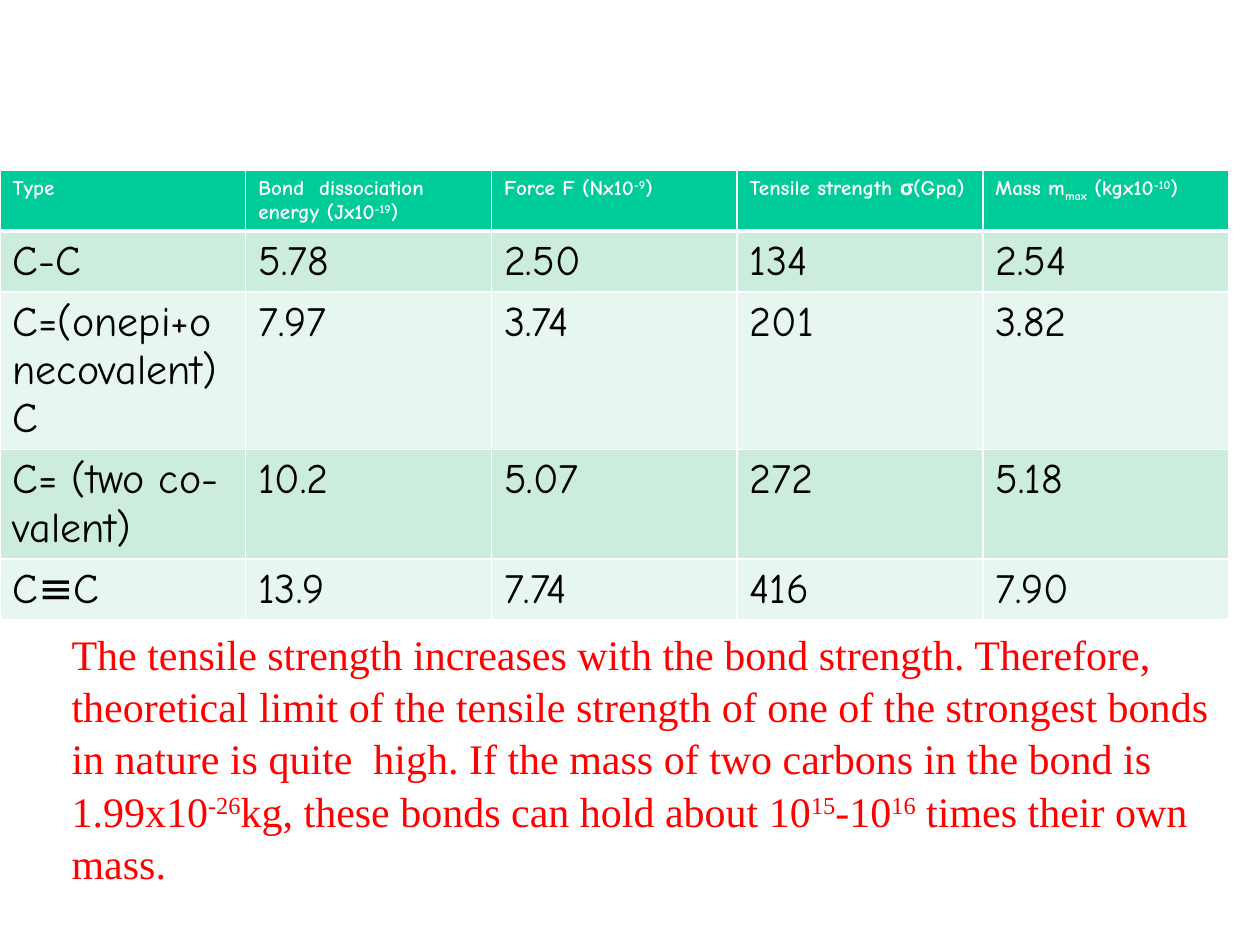
from pptx import Presentation
from pptx.dml.color import RGBColor
from pptx.enum.text import MSO_AUTO_SIZE
from pptx.oxml import parse_xml
from pptx.oxml.ns import nsdecls
from pptx.util import Inches, Pt

WHITE = RGBColor(0xFF, 0xFF, 0xFF)
BLACK = RGBColor(0, 0, 0)
RED = RGBColor(0xFF, 0, 0)
GREEN = RGBColor(0, 0xCC, 0x99)
MINT = RGBColor(0xCC, 0xEC, 0xDE)
PALE = RGBColor(0xE7, 0xF6, 0xEF)
FIT = MSO_AUTO_SIZE.SHAPE_TO_FIT_TEXT
BASE = {"^": "30000", "_": "-25000"}

# "|" parts the runs; a leading "^" raises a run, "_" lowers it
ROWS = [
    ["Type", "Bond  dissociation energy (Jx10|^-19|)", "Force F (Nx10|^-9|)",
     "Tensile strength σ(Gpa)", "Mass m|_max| (kgx10|^-10|)"],
    ["C-C", "5.78", "2.50", "134", "2.54"],
    ["C=(onepi+onecovalent) C", "7.97", "3.74", "201", "3.82"],
    ["C= (two co-valent)", "10.2", "5.07", "272", "5.18"],
    ["C≡C", "13.9", "7.74", "416", "7.90"],
]
NOTE = ("The tensile strength increases with the bond strength. Therefore, "
        "theoretical limit of the tensile strength of one of the strongest "
        "bonds in nature is quite  high. If the mass of two carbons in the "
        "bond is 1.99x10|^-26|kg, these bonds can hold about 10|^15|-10|^16"
        "| times their own mass.")


def write(par, text, face, size, color, bold=False):
    for part in text.split("|"):
        run = par.add_run()
        run.text = part.lstrip("^_")
        if part[0] in BASE:
            run.font._element.set("baseline", BASE[part[0]])
    font = par.font
    font.name, font.size, font.bold = face, Pt(size), bold
    font.color.rgb = color
    for run in par.runs:
        run.font.name = face


def edge(cell, low):
    props = cell._tc.get_or_add_tcPr()
    for i, side in enumerate("LRTB"):
        width = Pt(low if side == "B" else 1)
        props.insert(i, parse_xml(
            f'<a:ln{side} {nsdecls("a")} w="{width}"><a:solidFill>'
            f'<a:srgbClr val="{WHITE}"/></a:solidFill></a:ln{side}>'))


deck = Presentation()
deck.slide_width, deck.slide_height = Inches(10), Inches(7.5)
slide = deck.slides.add_slide(deck.slide_layouts[6])

# Table of bond values
COL, ROW = Inches(1.95), Inches(0.41)
count = len(ROWS[0])
table = slide.shapes.add_table(len(ROWS), count, 0, Inches(1.35),
                               COL * count, ROW * len(ROWS)).table
for r, row in enumerate(ROWS):
    head = r == 0
    for c, text in enumerate(row):
        cell = table.cell(r, c)
        cell.fill.solid()
        cell.fill.fore_color.rgb = GREEN if head else MINT if r % 2 else PALE
        edge(cell, 3 if head else 1)
        write(cell.text_frame.paragraphs[0], text, "Comic Neue",
              12 if head else 24, WHITE if head else BLACK, head)

# Conclusion
box = slide.shapes.add_textbox(Inches(0.47), Inches(4.92),
                               Inches(9.53), Inches(2.12))
frame = box.text_frame
frame.word_wrap = True
frame.auto_size = FIT
par = frame.paragraphs[0]
par.line_spacing = 1.04
write(par, NOTE, "Times New Roman", 24, RED)

deck.save("out.pptx")
